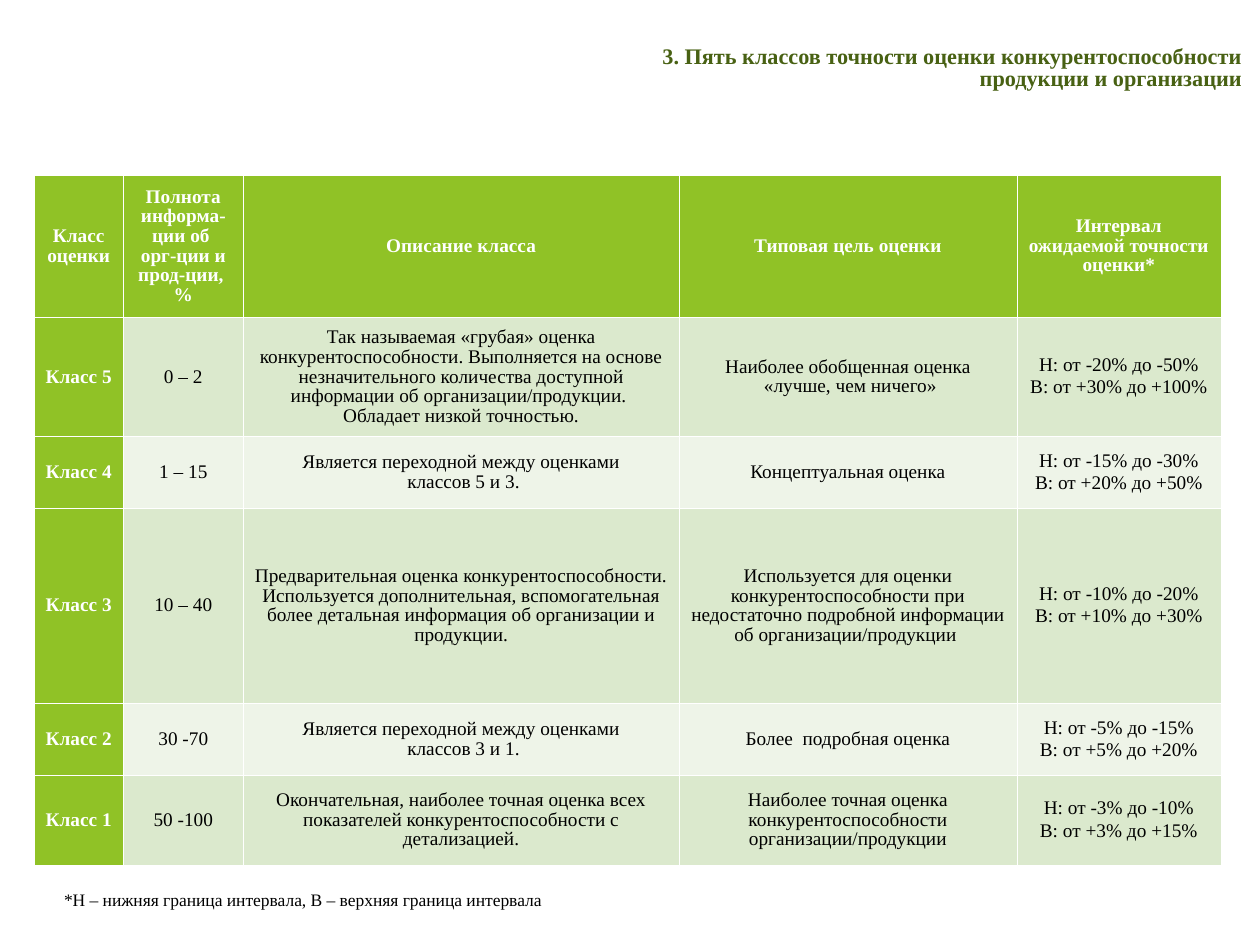
import copy
import pptx
import pptx.dml.color
import pptx.enum.text
import pptx.oxml
import pptx.oxml.ns
import pptx.util

Inches, Pt = pptx.util.Inches, pptx.util.Pt
ALIGN = pptx.enum.text.PP_ALIGN
FONT = "Times New Roman"
GREEN, LIGHT, PALE, WHITE, BLACK = "90C226", "DBE9CD", "EEF4E8", "FFFFFF", "000000"
THIN, THICK = 0.23, 0.75

# Content: one string per paragraph
TITLE = ["3. Пять классов точности оценки конкурентоспособности \vпродукции и организации "]
NOTE = ["*Н – нижняя граница интервала, В – верхняя граница интервала"]
HEADER = [
    ["Класс оценки"],
    ["Полнота информа-ции об ", "орг-ции и прод-ции,  %"],
    ["Описание класса"],
    ["Типовая цель оценки"],
    ["Интервал ожидаемой точности оценки*"],
]
CLASSES = [
    [["Класс 5"], ["0 – 2"],
     ["Так называемая «грубая» оценка конкурентоспособности. Выполняется на основе "
      "незначительного количества доступной информации об организации/продукции. ",
      "Обладает низкой точностью."],
     ["Наиболее обобщенная оценка", " «лучше, чем ничего»"],
     ["Н: от -20% до -50%", "В: от +30% до +100%"]],
    [["Класс 4"], ["1 – 15"],
     ["Является переходной между оценками", " классов 5 и 3."],
     ["Концептуальная оценка"],
     ["Н: от -15% до -30%", "В: от +20% до +50%"]],
    [["Класс 3"], ["10 – 40"],
     ["Предварительная оценка конкурентоспособности. Используется дополнительная, "
      "вспомогательная более детальная информация об организации и продукции."],
     ["Используется для оценки конкурентоспособности при недостаточно подробной "
      "информации об организации/продукции "],
     ["Н: от -10% до -20%", "В: от +10% до +30%"]],
    [["Класс 2"], ["30 -70"],
     ["Является переходной между оценками", " классов 3 и 1."],
     ["Более  подробная оценка"],
     ["Н: от -5% до -15%", "В: от +5% до +20%"]],
    [["Класс 1"], ["50 -100"],
     ["Окончательная, наиболее точная оценка всех показателей "
      "конкурентоспособности с детализацией."],
     ["Наиболее точная оценка конкурентоспособности организации/продукции"],
     ["Н: от -3% до -10%", "В: от +3% до +15%"]],
]
COL_WIDTHS = [0.71, 0.95, 3.46, 2.68, 1.62]
ROW_HEIGHTS = [1.13, 0.93, 0.57, 1.55, 0.57, 0.71]


def rgb(value):
    return pptx.dml.color.RGBColor.from_string(value)


def set_attrs(target, values):
    for name, value in values.items():
        setattr(target, name, value)


def write(tf, lines, color, font, para):
    for i, line in enumerate(lines):
        p = tf.paragraphs[0] if i == 0 else tf.add_paragraph()
        p.text = line
        set_attrs(p, para)
        for r in p.runs:
            set_attrs(r.font, {"name": FONT, **font})
            r.font.color.rgb = rgb(color)
        # A line break takes the same size as the text around it
        for br in p._p.findall(pptx.oxml.ns.qn("a:br")):
            br.append(copy.deepcopy(p.runs[0]._r.rPr))


def add_text(s, box, lines, color, font, para):
    tf = s.shapes.add_textbox(*map(Inches, box)).text_frame
    tf.word_wrap = True
    write(tf, lines, color, font, para)


def set_borders(cell, widths):
    tc_pr = cell._tc.get_or_add_tcPr()
    for side, width in widths.items():
        tc_pr.append(pptx.oxml.parse_xml(
            f'<a:ln{side} {pptx.oxml.ns.nsdecls("a")} w="{int(Pt(width))}">'
            f'<a:solidFill><a:srgbClr val="{WHITE}"/></a:solidFill></a:ln{side}>'))


prs = pptx.Presentation()
prs.slide_width, prs.slide_height = Inches(10), Inches(7.5)
s = prs.slides.add_slide(prs.slide_layouts[6])

# Title
add_text(s, (0.43, 0.33, 9.57, 0.56), TITLE, "486113",
         {"size": Pt(12.7), "bold": True},
         {"alignment": ALIGN.RIGHT, "line_spacing": 0.8})

# Table of accuracy classes
rows = [HEADER] + CLASSES
table = s.shapes.add_table(len(rows), len(COL_WIDTHS), Inches(0.27), Inches(1.39),
                           Inches(sum(COL_WIDTHS)), Inches(sum(ROW_HEIGHTS))).table
for col, width in zip(table.columns, COL_WIDTHS):
    col.width = Inches(width)
for row, height in zip(table.rows, ROW_HEIGHTS):
    row.height = Inches(height)

for i, row in enumerate(rows):
    for j, lines in enumerate(row):
        cell = table.cell(i, j)
        heading = i == 0 or j == 0
        side = Inches(0.01 if j == 2 and i > 0 else 0.08)
        set_attrs(cell, {"margin_left": side, "margin_right": side,
                         "margin_top": Inches(0.05), "margin_bottom": Inches(0.05),
                         "vertical_anchor": pptx.enum.text.MSO_ANCHOR.MIDDLE})
        set_borders(cell, {"L": THIN, "R": THIN,
                           "T": THICK if i == 1 else THIN,
                           "B": THICK if i == 0 else THIN})
        cell.fill.solid()
        cell.fill.fore_color.rgb = rgb(GREEN if heading else LIGHT if i % 2 else PALE)
        write(cell.text_frame, lines, WHITE if heading else BLACK,
              {"size": Pt(11), "bold": heading},
              {"alignment": ALIGN.CENTER, "line_spacing": 0.92})
        # Upper limits of the interval are set a little looser
        if j == 4 and i > 0:
            cell.text_frame.paragraphs[1].line_spacing = 1.05

# Footnote
add_text(s, (0.41, 6.98, 8.99, 0.29), NOTE, BLACK, {"size": Pt(10)},
         {"line_spacing": 1.15, "space_after": Pt(10)})

prs.save("out.pptx")
